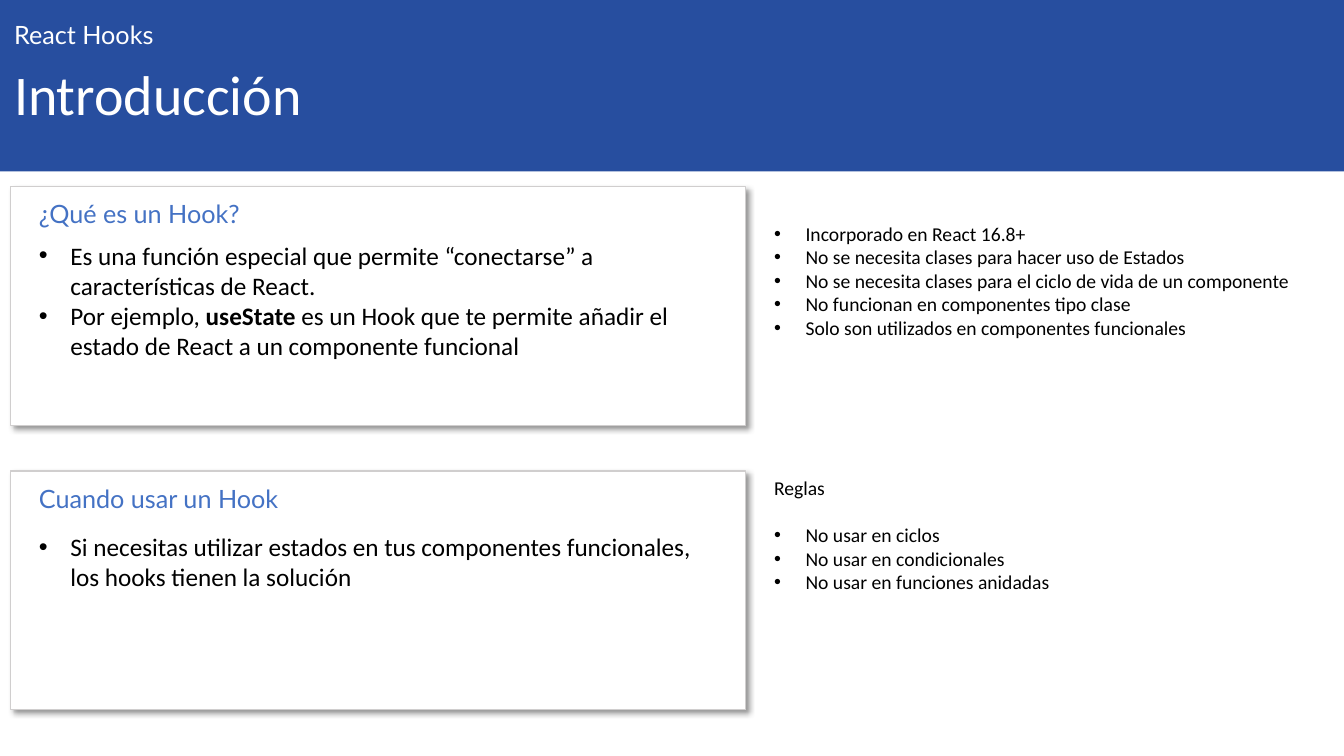
import pptx
import pptx.util
import pptx.dml.color
import pptx.enum.shapes
import pptx.oxml
import pptx.oxml.ns

Pt = pptx.util.Pt
WHITE, BLACK, BLUE, NAVY, GRAY = "FFFFFF", "000000", "4472C4", "274E9F", "D0CECE"
INDENT = 22.5


def tint(color, code):
    color.rgb = pptx.dml.color.RGBColor.from_string(code)


def block(slide, left, top, width, height, fill, line=None):
    kind = pptx.enum.shapes.MSO_SHAPE.RECTANGLE
    shape = slide.shapes.add_shape(kind, Pt(left), Pt(top), Pt(width), Pt(height))
    shape.fill.solid()
    tint(shape.fill.fore_color, fill)
    if line:
        tint(shape.line.color, line)
        shape.line.width = Pt(1)
    else:
        shape.line.fill.background()
    shape.shadow.inherit = False
    return shape


def cast(shape):
    effects = shape._element.spPr.find(pptx.oxml.ns.qn("a:effectLst"))
    effects.append(pptx.oxml.parse_xml(
        f'<a:outerShdw {pptx.oxml.ns.nsdecls("a")} blurRad="{Pt(4)}" dist="{Pt(3)}" '
        f'dir="2700000" algn="tl" rotWithShape="0"><a:srgbClr val="{BLACK}">'
        '<a:alpha val="40000"/></a:srgbClr></a:outerShdw>'))


def dot(para):
    props = para._p.get_or_add_pPr()
    props.set("marL", str(Pt(INDENT)))
    props.set("indent", str(-Pt(INDENT)))
    for tag in ('buFont typeface="Arial"', 'buChar char="•"'):
        props.append(pptx.oxml.parse_xml(f'<a:{tag} {pptx.oxml.ns.nsdecls("a")}/>'))


def write(slide, left, top, width, height, lines, size, face="Calibri",
          color=BLACK, dots=False, lead=None):
    box = slide.shapes.add_textbox(Pt(left), Pt(top), Pt(width), Pt(height))
    frame = box.text_frame
    frame.word_wrap = True
    rows = ([lead] if lead else []) + lines
    for i, row in enumerate(rows):
        para = frame.paragraphs[0] if i == 0 else frame.add_paragraph()
        if lead and i == 0:
            para.space_after = Pt(17)
        elif dots:
            dot(para)
        para.font.size = Pt(size)
        para.font.name = face
        tint(para.font.color, color)
        for j, part in enumerate(row.split("**")):
            run = para.add_run()
            run.text = part
            if j % 2:
                run.font.bold = True


def banner(slide, left, top, width, height):
    block(slide, left, top, width, height, NAVY)
    write(slide, left + 3, top + 10, 413, 29, ["React Hooks"], 18, "Lato", WHITE)
    write(slide, left + 3, top + 39, 731, 55, ["Introducción"], 40, color=WHITE)


def card(slide, left, top, width, height, title, lines, drop):
    cast(block(slide, left, top, width, height, WHITE, GRAY))
    write(slide, left + 13, top + 5, 270, 29, [title], 18, "Lato", BLUE)
    write(slide, left + 13, top + drop, width - 24, height - drop - 3, lines, 18, dots=True)


def notes(slide, left, top, width, height, lines, lead=None):
    write(slide, left, top, width, height, lines, 14, dots=True, lead=lead)


def main():
    deck = pptx.Presentation()
    deck.slide_width, deck.slide_height = Pt(960), Pt(540)
    slide = deck.slides.add_slide(deck.slide_layouts[6])
    banner(slide, 0, 0, 960, 122.4)
    card(slide, 7.7, 133.2, 525, 170.6, "¿Qué es un Hook?", [
        "Es una función especial que permite “conectarse” a características de React.",
        "Por ejemplo, **useState** es un Hook que te permite añadir el estado de React "
        "a un componente funcional",
    ], 34.6)
    card(slide, 7.7, 336.4, 525, 170.6, "Cuando usar un Hook", [
        "Si necesitas utilizar estados en tus componentes funcionales, "
        "los hooks tienen la solución",
    ], 39.5)
    notes(slide, 545.8, 154.8, 386, 131, [
        "Incorporado en React 16.8+",
        "No se necesita clases para hacer uso de Estados",
        "No se necesita clases para el ciclo de vida de un componente",
        "No funcionan en componentes tipo clase",
        "Solo son utilizados en componentes funcionales",
    ])
    notes(slide, 545.8, 336.4, 386, 131, [
        "No usar en ciclos",
        "No usar en condicionales",
        "No usar en funciones anidadas",
    ], "Reglas")
    deck.save("out.pptx")


if __name__ == "__main__":
    main()
